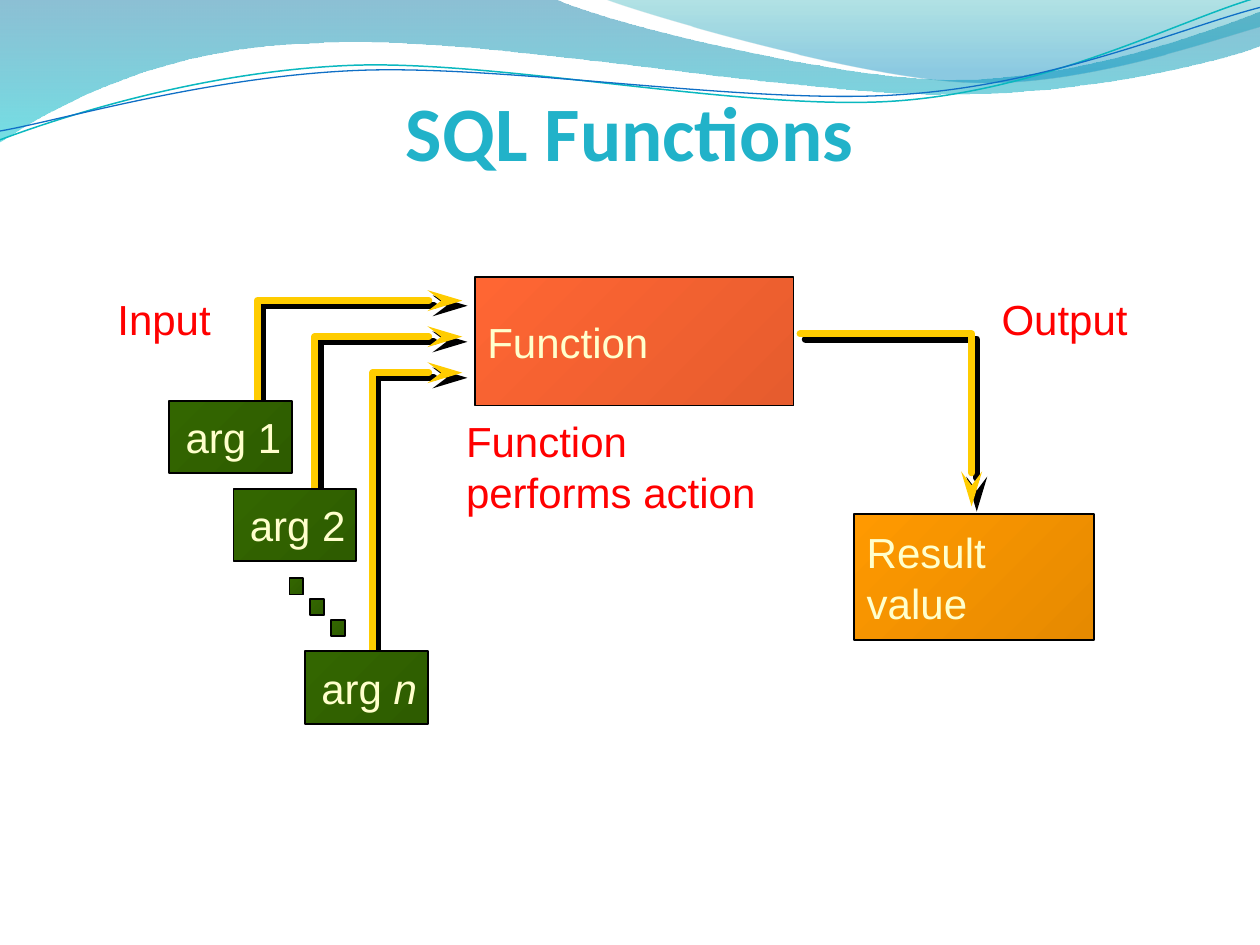
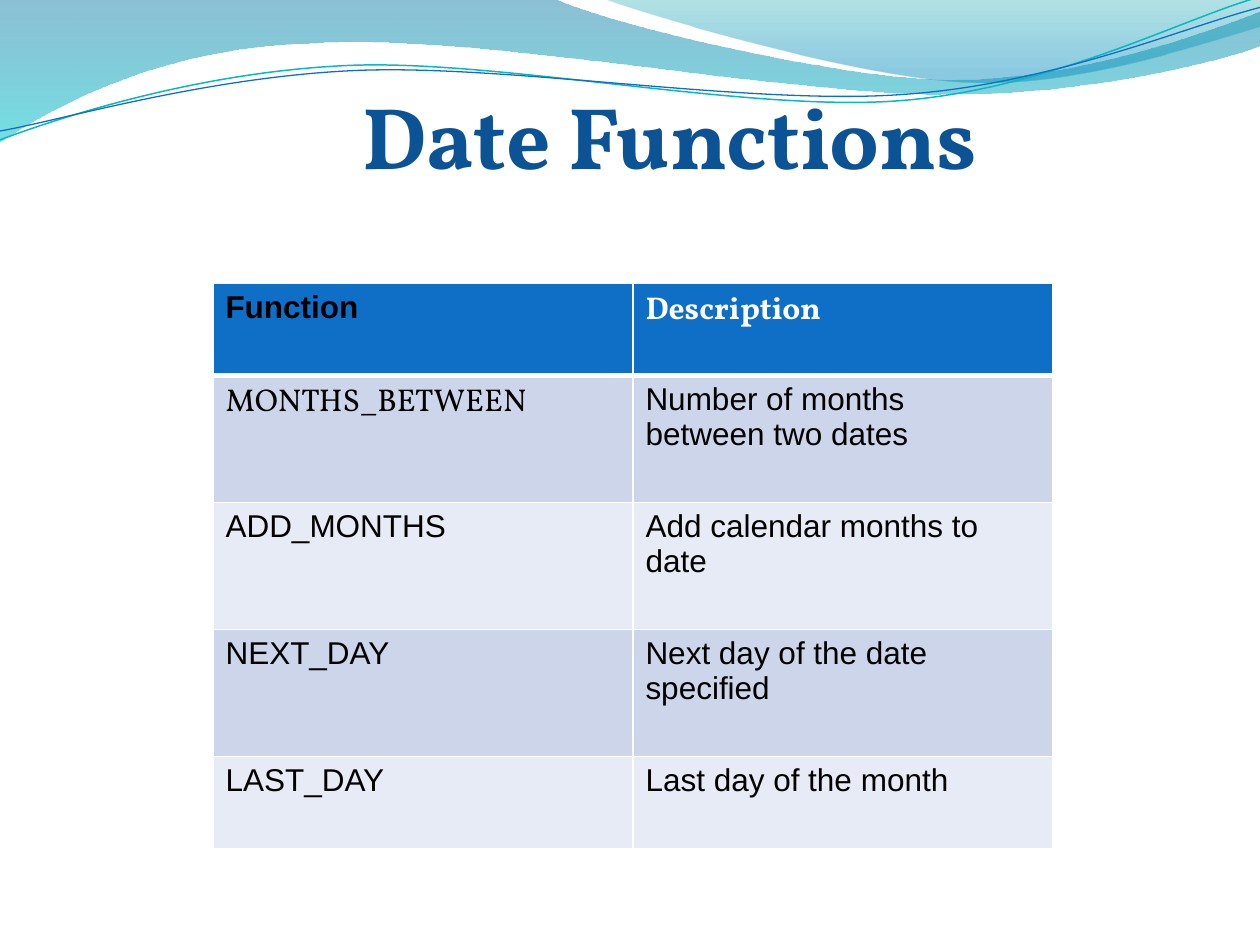
import math

import pptx
import pptx.dml.color
import pptx.enum.shapes
import pptx.enum.text
import pptx.oxml.ns
import pptx.util
from lxml import etree

Pt = pptx.util.Pt
ANCHOR = pptx.enum.text.MSO_ANCHOR
ALIGN = pptx.enum.text.PP_ALIGN
RECTANGLE = pptx.enum.shapes.MSO_SHAPE.RECTANGLE
qn = pptx.oxml.ns.qn

COLORS = {
    "sql title": "21B2C9", "date title": "0B5394",
    "wave top": "0074A1", "wave bottom": "00C6CF",
    "crest top": "00A1A9", "crest bottom": "008BBF",
    "teal line": "0AB8BF", "blue line": "0F6FC6",
    "function": "FF6633", "function end": "E65C2E",
    "argument": "336600", "argument end": "2E5C00",
    "result": "FF9900", "result end": "E68A00",
    "cream": "FFFFCC", "red": "FF0000", "arrow": "FFCC00",
    "black": "000000", "white": "FFFFFF",
    "header row": "0F6FC6", "odd row": "CCD5EA", "even row": "E7EBF5",
}

# Outlines: a pair is a straight step, six numbers are a Bezier step.
WAVE = [(0, 0), (316.8, -0.7), (342.7, 12.2, 478.1, 45.4, 545.8, 45.4),
        (614.2, 45.4, 689.8, 18.7, 720, 6.5), (720.7, 25.9),
        (707.8, 31.7, 626.4, 54.7, 537.1, 54),
        (447.8, 54, 275, 20.2, 185, 24.5),
        (92.9, 25.9, 33.1, 59.8, -0.7, 81.4), (0, 0)]
CREST = [(344.9, -0.7), (366.5, 7.9, 491, 44.6, 553.7, 46.8),
         (616.3, 49.7, 691.9, 23, 720, 15.1), (720, 0), (344.9, -0.7)]
TEAL_LINE = [(0, 79.9), (34.6, 67, 113.8, 41, 199.4, 37.4),
             (284.4, 33.8, 427, 64.1, 513.4, 57.6),
             (599.8, 51.1, 675.4, 10.8, 718.6, -1.4)]
BLUE_LINE = [(0, 74.9), (33.8, 69.1, 118.1, 43.9, 203.8, 40.3),
             (290.2, 36.7, 429.8, 60.5, 516.2, 54),
             (601.9, 48.2, 677.5, 15.1, 720, 4.3)]
LINE_TILT = -2.7

DATE_FUNCTIONS = [
    ("Function", "Description"),
    ("MONTHS_BETWEEN", "Number of months\vbetween two dates"),
    ("ADD_MONTHS", "Add calendar months to date"),
    ("NEXT_DAY", "Next day of the date specified"),
    ("LAST_DAY", "Last day of the month"),
]
ROW_HEIGHTS = [52.5, 72.6, 72.6, 72.6, 52.5]
VOLLKORN_CELLS = {"Description", "MONTHS_BETWEEN"}


def rgb(color):
    return pptx.dml.color.RGBColor.from_string(COLORS[color])


def lengths(box):
    return [Pt(length) for length in box]


def style_font(font, size, color, face="Arial", bold=False):
    font.size, font.name, font.bold = Pt(size), face, bold
    font.color.rgb = rgb(color)


def set_line(shape, color, width):
    shape.line.color.rgb = rgb(color)
    shape.line.width = Pt(width)


def set_gradient(shape, stops, angle):
    """Fill with (color, position, opacity percent) stops, angle clockwise."""
    shape.fill.gradient()
    shape.fill.gradient_angle = 360 - angle
    for stop, (color, position, _) in zip(shape.fill.gradient_stops, stops):
        stop.color.rgb = rgb(color)
        stop.position = position
    values = shape.element.spPr.find(qn("a:gradFill")).iter(qn("a:srgbClr"))
    for value, (_, _, opacity) in zip(values, stops):
        if opacity < 100:
            etree.SubElement(value, qn("a:alpha")).set("val", str(opacity * 1000))


def rotate(x, y, degrees):
    """Turn a point clockwise about the slide's top left corner."""
    cos, sin = math.cos(math.radians(degrees)), math.sin(math.radians(degrees))
    return x * cos - y * sin, x * sin + y * cos


def add_outline(slide, outline, tilt=0):
    """Draw an outline; a tilted one is stored level and then rotated."""
    points = [rotate(*step[i:i + 2], -tilt)
              for step in outline for i in range(0, len(step), 2)]
    start, *others = [tuple(lengths(point)) for point in points]
    builder = slide.shapes.build_freeform(*start)
    builder.add_line_segments(others, close=outline[0] == outline[-1])
    shape = builder.convert_to_shape()
    shape.shadow.inherit = False
    segments = iter(list(shape.element.spPr.iter(qn("a:lnTo"))))
    for step in outline[1:]:
        segment = next(segments)
        if len(step) == 6:
            curve = etree.Element(qn("a:cubicBezTo"))
            segment.addprevious(curve)
            for part in (segment, next(segments), next(segments)):
                curve.append(part[0])
                part.getparent().remove(part)
    if tilt:
        half_width, half_height = shape.width / 2, shape.height / 2
        x, y = rotate(shape.left + half_width, shape.top + half_height, tilt)
        shape.left, shape.top = int(x - half_width), int(y - half_height)
        shape.rotation = tilt
    return shape


def add_waves(slide):
    for outline, stops in (
            (WAVE, [("wave top", 0, 45), ("wave bottom", 1, 55)]),
            (CREST, [("crest top", 0, 30), ("crest bottom", 0.8, 45)])):
        band = add_outline(slide, outline)
        set_gradient(band, stops, 90)
        band.line.fill.background()
    for outline, color, width in ((TEAL_LINE, "teal line", 0.85),
                                  (BLUE_LINE, "blue line", 0.75)):
        curve = add_outline(slide, outline, LINE_TILT)
        curve.fill.background()
        set_line(curve, color, width)


def add_title(slide, box, text, size, color, face, anchor):
    frame = slide.shapes.add_textbox(*lengths(box)).text_frame
    frame.word_wrap = True
    frame.vertical_anchor = anchor
    frame.text = text
    frame.paragraphs[0].alignment = ALIGN.CENTER
    style_font(frame.paragraphs[0].runs[0].font, size, color, face, bold=True)


def write_text(shape, text, color, wrap=False, anchor=ANCHOR.TOP, inset=(7.2, 3.6)):
    frame = shape.text_frame
    frame.margin_left = frame.margin_right = Pt(inset[0])
    frame.margin_top = frame.margin_bottom = Pt(inset[1])
    frame.word_wrap = wrap
    frame.vertical_anchor = anchor
    frame.text = text
    for paragraph in frame.paragraphs:
        paragraph.alignment = ALIGN.LEFT
        for run in paragraph.runs:
            style_font(run.font, 24, color)


def add_label(slide, box, text, wrap=False):
    write_text(slide.shapes.add_textbox(*lengths(box)), text, "red", wrap)


def add_block(slide, box, color):
    block = slide.shapes.add_shape(RECTANGLE, *lengths(box))
    block.shadow.inherit = False
    set_gradient(block, [(color, 0, 100), (color + " end", 1, 100)], 45)
    set_line(block, "black", 1)
    return block


def add_elbow_arrow(slide, points):
    """Draw a bent arrow with a hard black shadow."""
    arrow = add_outline(slide, points)
    arrow.fill.background()
    set_line(arrow, "arrow", 4)
    line = arrow.element.spPr.find(qn("a:ln"))
    line.set("cap", "rnd")
    etree.SubElement(line, qn("a:round"))
    etree.SubElement(line, qn("a:tailEnd"), type="stealth", w="med", len="lg")
    effects = arrow.element.spPr.find(qn("a:effectLst"))
    shadow = etree.SubElement(effects, qn("a:outerShdw"), blurRad="0",
                              dist=str(int(Pt(4.2))), dir=str(45 * 60000),
                              algn="ctr", rotWithShape="0")
    etree.SubElement(shadow, qn("a:srgbClr"), val=COLORS["black"])


def add_inputs(slide, left, top, tip):
    """Place the arguments; their arrows end at the distance tip from left."""
    arguments = [("arg 1", 36.6, 65), ("arg 2", 73.4, 115.3), ("arg n", 114.2, 208.2)]
    add_label(slide, (left, top, 68.4, 36.7), "Input")
    for i, (_, _, argument_top) in enumerate(arguments):
        x, y = left + 87 + 33 * i, top + 7.8 + 20.6 * i
        add_elbow_arrow(slide, [(x, top + argument_top + 6), (x, y), (left + tip, y)])
    for name, x, y in arguments:
        argument = add_block(slide, (left + x, top + y, 70.2, 41.4), "argument")
        write_text(argument, name, "cream", anchor=ANCHOR.MIDDLE, inset=(9.4, 5))
    paragraph = argument.text_frame.paragraphs[0]
    paragraph.runs[0].text = "arg "
    index = paragraph.add_run()
    index.text = "n"
    style_font(index.font, 24, "cream")
    index.font.italic = True
    for i in range(3):
        add_block(slide, (left + 105.4 + 11.9 * i, top + 166.5 + 11.9 * i, 8, 9.3),
                  "argument")


def add_action(slide, left, top, width, height):
    function = add_block(slide, (left, top, width, height), "function")
    write_text(function, "Function", "cream", anchor=ANCHOR.MIDDLE)
    add_label(slide, (left - 12.2, top + height + 2.2, 205.2, 65.5),
              "Function performs action", wrap=True)


def add_output(slide, left, top):
    turn = left + 98
    add_elbow_arrow(slide, [(left, top + 26.8), (turn, top + 26.8), (turn, top + 125.4)])
    add_label(slide, (left + 108, top, 87.1, 36.7), "Output")
    result = add_block(slide, (left + 31, top + 129.8, 136.8, 72), "result")
    write_text(result, "Result\nvalue", "cream", anchor=ANCHOR.MIDDLE)


def set_borders(cell, bottom):
    """Give a cell white borders, the lower one as wide as bottom."""
    properties = cell._tc.get_or_add_tcPr()
    widths = (("a:lnL", 1), ("a:lnR", 1), ("a:lnT", 1), ("a:lnB", bottom))
    for i, (side, width) in enumerate(widths):
        border = etree.Element(qn(side), w=str(int(Pt(width))))
        fill = etree.SubElement(border, qn("a:solidFill"))
        etree.SubElement(fill, qn("a:srgbClr"), val=COLORS["white"])
        properties.insert(i, border)


def add_function_table(slide, left, top, width):
    columns = len(DATE_FUNCTIONS[0])
    table = slide.shapes.add_table(
        len(DATE_FUNCTIONS), columns,
        *lengths((left, top, width, sum(ROW_HEIGHTS)))).table
    for column in table.columns:
        column.width = Pt(width / columns)
    for r, texts in enumerate(DATE_FUNCTIONS):
        table.rows[r].height = Pt(ROW_HEIGHTS[r])
        header = r == 0
        row_color = "header row" if header else "odd row" if r % 2 else "even row"
        for c, text in enumerate(texts):
            cell = table.cell(r, c)
            cell.fill.solid()
            cell.fill.fore_color.rgb = rgb(row_color)
            set_borders(cell, 3 if header else 1)
            cell.text_frame.text = text
            paragraph = cell.text_frame.paragraphs[0]
            paragraph.text = text
            color = "white" if text == "Description" else "black"
            face = "Vollkorn" if text in VOLLKORN_CELLS else "Arial"
            for run in paragraph.runs:
                style_font(run.font, 18, color, face, bold=header)


def build_sql_functions(slide):
    add_waves(slide)
    add_title(slide, (72.7, 40.3, 574.6, 69.1), "SQL Functions", 44,
              "sql title", "Calibri", ANCHOR.MIDDLE)
    add_action(slide, 271.4, 158.4, 182, 73.4)
    add_inputs(slide, 60, 164, tip=204.2)
    add_output(slide, 457.2, 164)


def build_date_functions(slide):
    add_waves(slide)
    add_function_table(slide, 121.7, 162, 480)
    add_title(slide, (156.2, 43.2, 453.6, 67.7), "Date Functions", 50,
              "date title", "Vollkorn", ANCHOR.TOP)


def main():
    presentation = pptx.Presentation()
    presentation.slide_width, presentation.slide_height = Pt(720), Pt(540)
    blank = presentation.slide_layouts[6]
    for build in (build_sql_functions, build_date_functions):
        build(presentation.slides.add_slide(blank))
    presentation.save("out.pptx")


if __name__ == "__main__":
    main()
